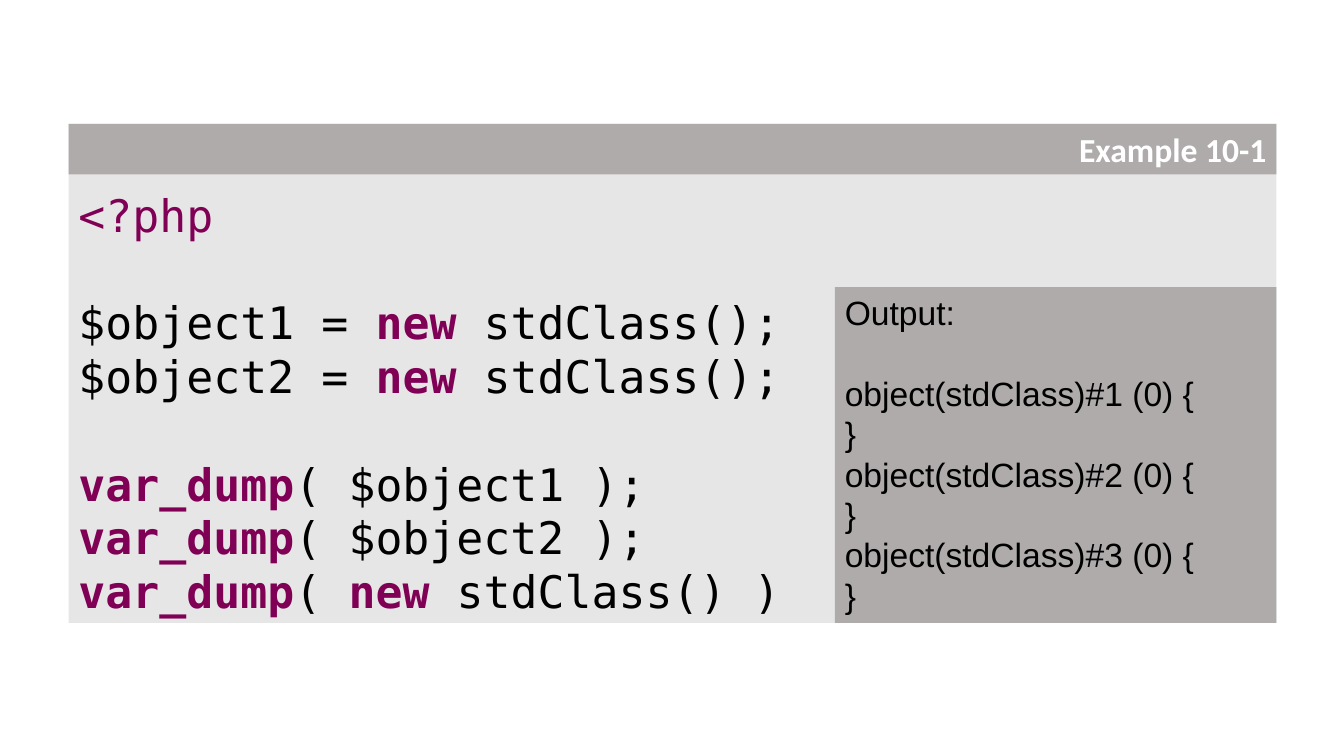
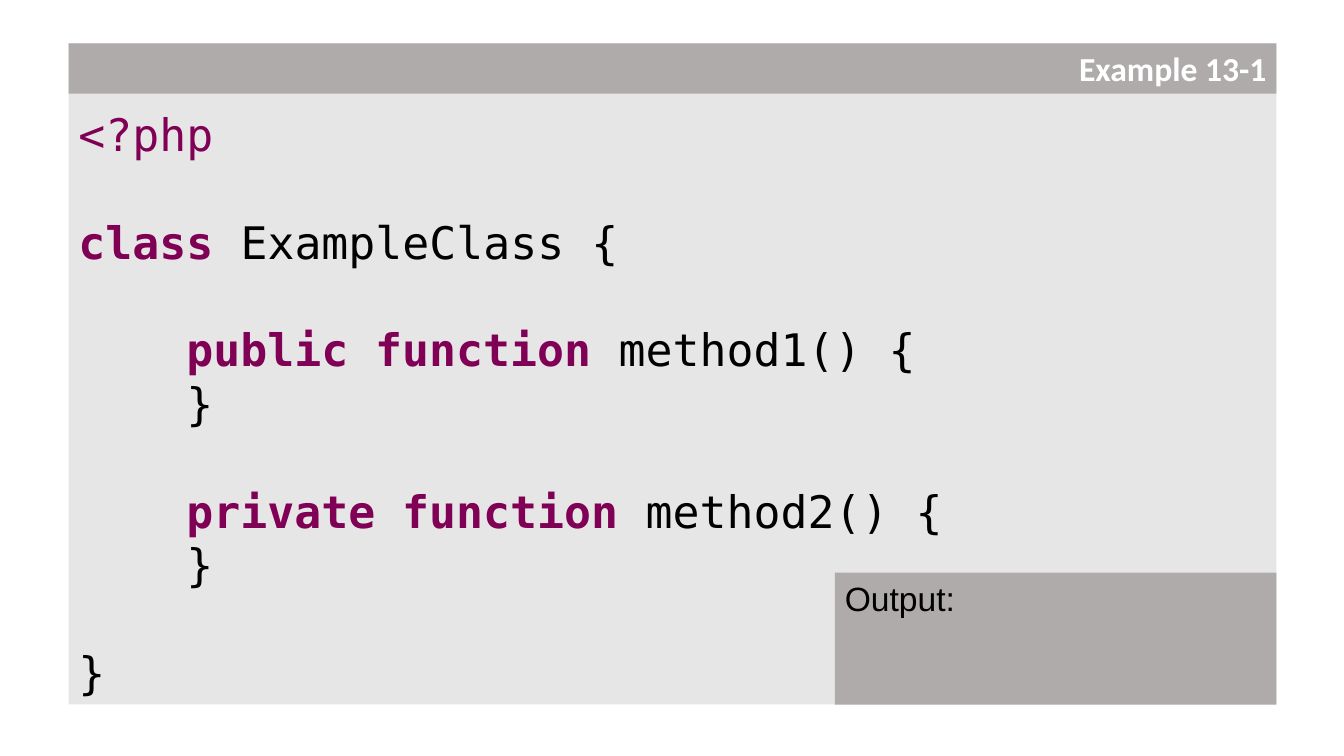
from pptx import Presentation
from pptx import util as u
from pptx.dml.color import RGBColor
from pptx.enum import shapes, text

COLORS = {
    "panel": "E7E6E6",
    "band": "AFABAB",
    "keyword": "7F0055",
    "code": "000000",
    "title": "FFFFFF",
}
SLIDE_WIDTH, SLIDE_HEIGHT = 13.33, 7.5
LEFT, WIDTH = 0.68, 11.98
BAND_HEIGHT = 0.5
OUTPUT_WIDTH = 4.38
LINE_PITCH = 1.2
OPENING_TAG = "<?php"
MARK = "*"

EXAMPLES = [
    {
        "title": "Example 10-1",
        "top": 1.23,
        "height": 4.95,
        "output_height": 3.33,
        "code": [
            "<?php",
            "",
            "$object1 = *new *stdClass();",
            "$object2 = *new *stdClass();",
            "",
            "*var_dump*( $object1 );",
            "*var_dump*( $object2 );",
            "*var_dump*( *new *stdClass() )",
        ],
        "output": ["Output:", ""] + [
            line for number in (1, 2, 3)
            for line in (f"object(stdClass)#{number} (0) {{", "}")
        ],
    },
    {
        "title": "Example 13-1",
        "top": 0.43,
        "height": 6.56,
        "output_height": 1.31,
        "code": [
            "<?php",
            "",
            "*class *ExampleClass {",
            "",
            "*    public function *method1() {",
            "    }",
            "",
            "*    private function *method2() {",
            "    }",
            "",
            "}",
        ],
        "output": ["Output:"],
    },
]


def color(name):
    """Return the named palette colour."""
    return RGBColor.from_string(COLORS[name])


def add_box(slide, left, top, width, height, fill, top_inset=0.05):
    """Add a flat filled rectangle whose text starts at the top left."""
    shape = slide.shapes.add_shape(
        shapes.MSO_SHAPE.RECTANGLE, *map(u.Inches, (left, top, width, height)))
    shape.shadow.inherit = False
    shape.fill.solid()
    shape.fill.fore_color.rgb = color(fill)
    shape.line.fill.background()
    frame = shape.text_frame
    frame.word_wrap = True
    frame.vertical_anchor = text.MSO_ANCHOR.TOP
    frame.margin_top = u.Inches(top_inset)
    return shape


def add_run(paragraph, words, font, size, tone, bold=False):
    """Append one formatted run to a paragraph."""
    run = paragraph.add_run()
    run.text = words
    run.font.name = font
    run.font.size = u.Pt(size)
    run.font.bold = bold
    run.font.color.rgb = color(tone)


def write_lines(frame, lines, font, size):
    """Write evenly pitched lines, with marked keywords bold and coloured."""
    pitch = u.Pt(size * LINE_PITCH)
    paragraph = frame.paragraphs[0]
    for index, line in enumerate(lines):
        if not line:
            continue
        if index:
            paragraph = frame.add_paragraph()
            if not lines[index - 1]:
                paragraph.space_before = pitch
        paragraph.alignment = text.PP_ALIGN.LEFT
        paragraph.line_spacing = pitch
        for position, words in enumerate(line.split(MARK)):
            keyword = position % 2 == 1
            tone = "keyword" if keyword or line == OPENING_TAG else "code"
            if words:
                add_run(paragraph, words, font, size, tone, keyword)


def add_code(slide, example):
    """Add the code panel."""
    panel = add_box(slide, LEFT, example["top"], WIDTH, example["height"],
                    "panel", BAND_HEIGHT + 0.13)
    write_lines(panel.text_frame, example["code"], "DejaVu Sans Mono", 32)


def add_output(slide, example):
    """Add the output box in the panel's lower right corner."""
    height = example["output_height"]
    top = example["top"] + example["height"] - height
    box = add_box(slide, LEFT + WIDTH - OUTPUT_WIDTH, top, OUTPUT_WIDTH,
                  height + 0.05 * 0, "band")
    write_lines(box.text_frame, example["output"], "Arial", 24)


def add_title_band(slide, example):
    """Add the band that names the example."""
    band = add_box(slide, LEFT, example["top"], WIDTH, BAND_HEIGHT, "band")
    paragraph = band.text_frame.paragraphs[0]
    paragraph.alignment = text.PP_ALIGN.RIGHT
    add_run(paragraph, example["title"], "Calibri", 24, "title", True)


def add_example_slide(presentation, example):
    """Add a slide with code, its output and a title band."""
    slide = presentation.slides.add_slide(presentation.slide_layouts[6])
    add_code(slide, example)
    add_output(slide, example)
    add_title_band(slide, example)


def main():
    """Build and save the presentation."""
    presentation = Presentation()
    presentation.slide_width = u.Inches(SLIDE_WIDTH)
    presentation.slide_height = u.Inches(SLIDE_HEIGHT)
    for example in EXAMPLES:
        add_example_slide(presentation, example)
    presentation.save("out.pptx")


if __name__ == "__main__":
    main()
